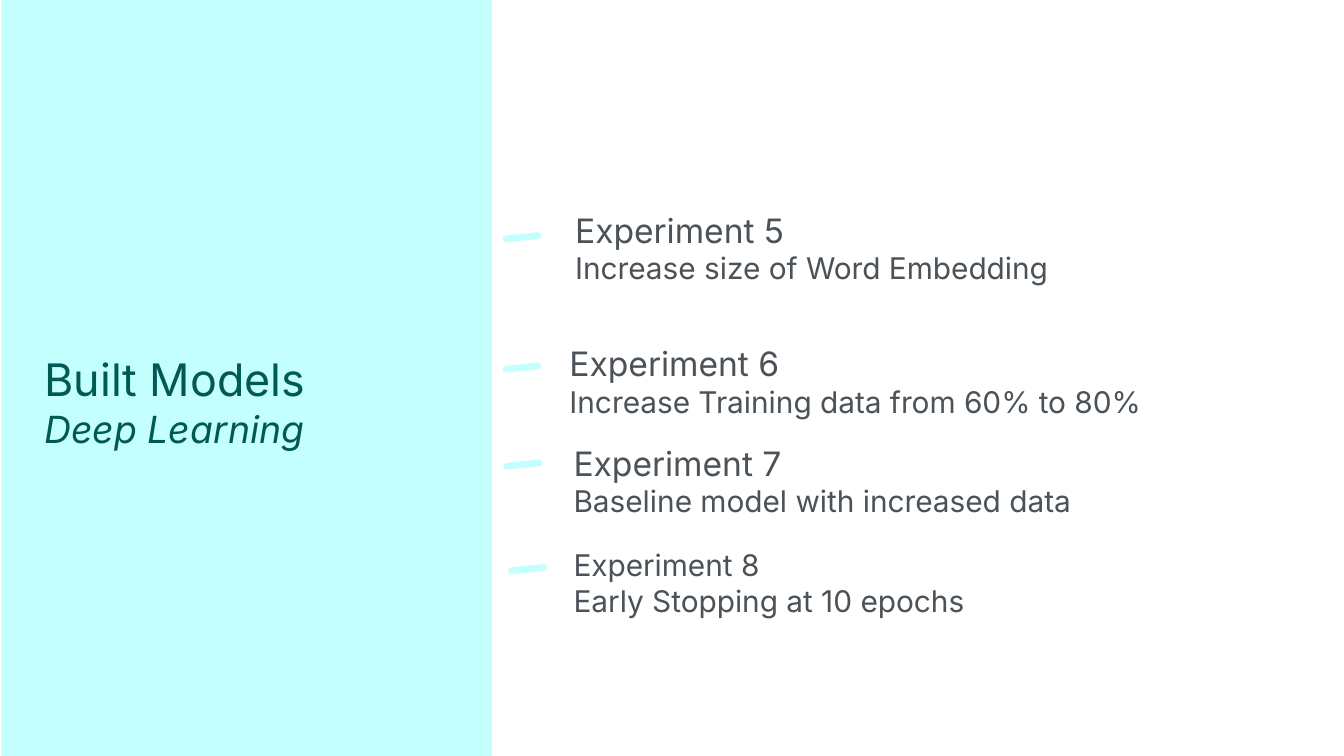
from copy import deepcopy

from pptx import Presentation
from pptx.dml.color import RGBColor
from pptx.enum.shapes import MSO_SHAPE as Preset
from pptx.enum.text import MSO_ANCHOR as Anchor, MSO_AUTO_SIZE as AutoSize, PP_ALIGN as Align
from pptx.util import Pt

FONT = "Inter"
COLORS = {"mint": "C3FFFC", "title": "015955", "body": "4B5258"}

# Heading, heading size, description, text box (left, top, width, height), dash (left, top)
EXPERIMENTS = [
    ("Experiment 5", 18, "Increase size of Word Embedding",
     (301, 105.1, 418.3, 55.4), (269.3, 125.3)),
    ("Experiment 6", 18, "Increase Training data from 60% to 80%",
     (298, 176.6, 388.8, 55.4), (269.3, 195.1)),
    ("Experiment 7", 18, "Baseline model with increased data",
     (300.2, 229.9, 388.8, 55.4), (269.8, 247.1)),
    ("Experiment 8", 16, "Early Stopping at 10 epochs",
     (300.2, 285.8, 388.8, 53.3), (272.2, 303.1)),
]
DASH_SIZE = (20.9, 3.6)
DASH_ROTATION = 354.1


def add_filled(slide, preset, box):
    shape = slide.shapes.add_shape(preset, *map(Pt, box))
    shape.shadow.inherit = False
    shape.fill.solid()
    shape.fill.fore_color.rgb = RGBColor.from_string(COLORS["mint"])
    shape.line.fill.background()
    return shape


def add_dash(slide, position):
    dash = add_filled(slide, Preset.ROUNDED_RECTANGLE, (*position, *DASH_SIZE))
    dash.adjustments[0] = 0.5
    dash.rotation = DASH_ROTATION


def add_run(paragraph, text, size, color, italic=False):
    run = paragraph.add_run()
    run.text = text
    run.font.name = FONT
    run.font.size = Pt(size)
    run.font.italic = italic
    run.font.color.rgb = RGBColor.from_string(COLORS[color])
    return run


def format_frame(frame, auto_size):
    frame.word_wrap = True
    frame.auto_size = auto_size
    frame.vertical_anchor = Anchor.TOP
    frame.margin_left = frame.margin_right = Pt(7.2)
    frame.margin_top = frame.margin_bottom = Pt(7.2)


def fill_title(title):
    title.left, title.top, title.width, title.height = map(Pt, (16.6, 181.4, 226.1, 41.8))
    format_frame(title.text_frame, AutoSize.NONE)
    paragraph = title.text_frame.paragraphs[0]
    paragraph.alignment = Align.LEFT
    heading = add_run(paragraph, "Built Models", 24, "title")
    paragraph.add_line_break()
    # The break takes the heading's size so that the line keeps its height
    line_break = paragraph._p[-1]
    line_break.append(deepcopy(heading.font._rPr))
    add_run(paragraph, "Deep Learning", 20, "title", italic=True)


def add_experiment(slide, heading, heading_size, description, box):
    frame = slide.shapes.add_textbox(*map(Pt, box)).text_frame
    format_frame(frame, AutoSize.SHAPE_TO_FIT_TEXT)
    add_run(frame.paragraphs[0], heading, heading_size, "body")
    add_run(frame.add_paragraph(), description, 16, "body")


def main():
    presentation = Presentation()
    presentation.slide_width, presentation.slide_height = Pt(720), Pt(405)
    slide = presentation.slides.add_slide(presentation.slide_layouts[5])

    # Side panel, behind the title
    panel = add_filled(slide, Preset.RECTANGLE, (0.7, -1.4, 262.8, 406.4))
    title = slide.shapes.title
    title.element.addprevious(panel.element)
    fill_title(title)

    # Experiments with their dashes
    for heading, heading_size, description, box, dash_position in EXPERIMENTS:
        add_dash(slide, dash_position)
        add_experiment(slide, heading, heading_size, description, box)

    presentation.save("out.pptx")


main()
